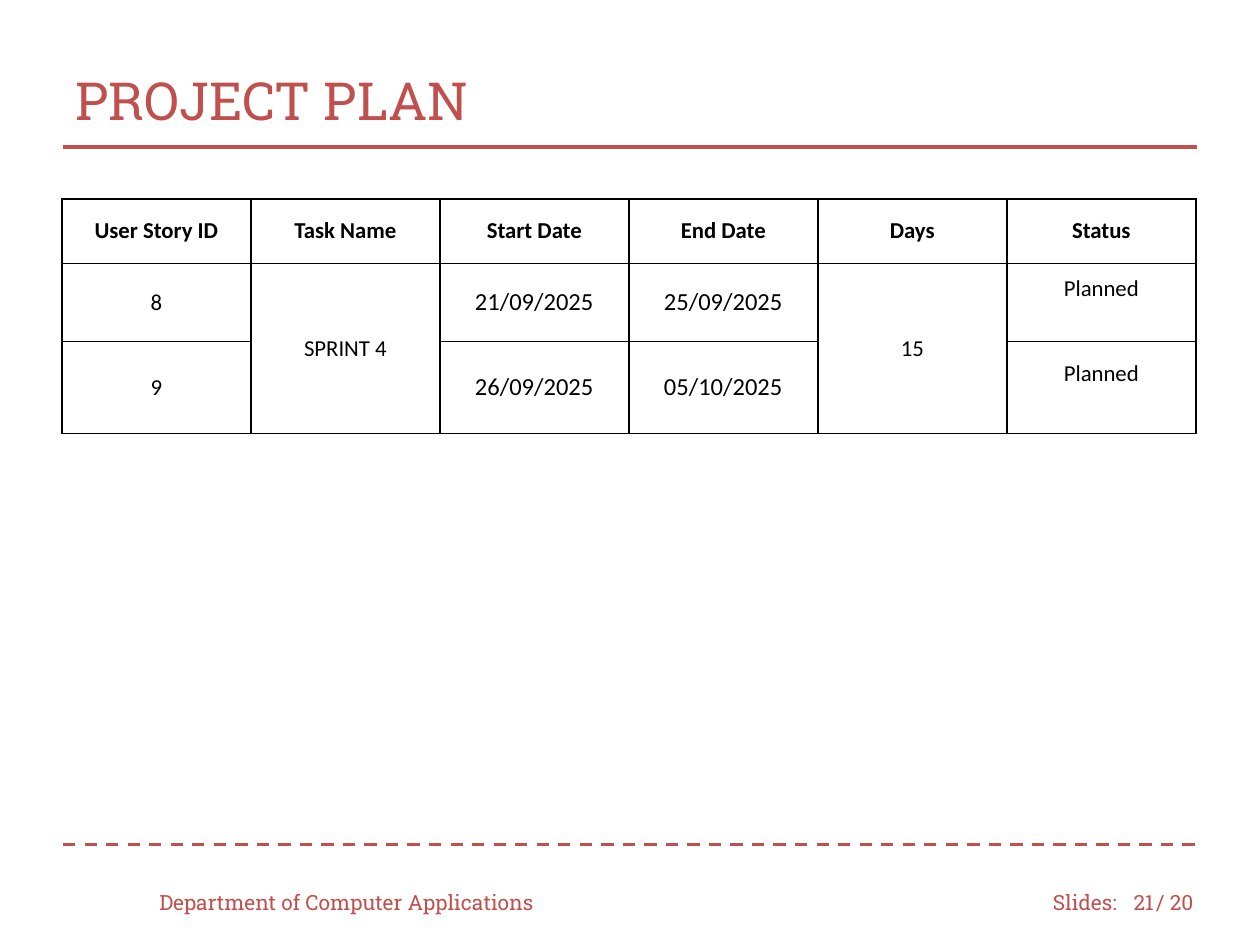
import pptx
import pptx.util
import pptx.dml.color
import pptx.enum.dml
import pptx.enum.shapes
import pptx.enum.text
import pptx.oxml
import pptx.oxml.ns
import lxml.etree

COLORS = {"accent": "C0504D", "ink": "000000", "paper": "FFFFFF"}
FONTS = {"brand": "Roboto Slab", "table": "Calibri"}
ALIGN = pptx.enum.text.PP_ALIGN
MIDDLE = pptx.enum.text.MSO_ANCHOR.MIDDLE
WIDTH, HEIGHT = 10, 7.5

HEADINGS = ["User Story ID", "Task Name", "Start Date", "End Date", "Days", "Status"]
TASKS = [
    ["8", "SPRINT 4", "21/09/2025", "25/09/2025", "15", "Planned"],
    ["9", "", "26/09/2025", "05/10/2025", "", "Planned"],
]
ROW_SHARES = [0.51 / 1.86, 0.62 / 1.86, 0.73 / 1.86]
MERGED_COLUMNS = [HEADINGS.index("Task Name"), HEADINGS.index("Days")]
DATE_COLUMNS = [HEADINGS.index("Start Date"), HEADINGS.index("End Date")]
STATUS_COLUMN = HEADINGS.index("Status")


def inches(*lengths):
    return [pptx.util.Inches(length) for length in lengths]


def rgb(name):
    return pptx.dml.color.RGBColor.from_string(COLORS[name])


def write(frame, text, size, font, color, align=ALIGN.LEFT, bold=False):
    frame.text = text
    para = frame.paragraphs[0]
    para.alignment = align
    for span in para.runs:
        span.font.size = pptx.util.Pt(size)
        span.font.name = FONTS[font]
        span.font.bold = bold
        span.font.color.rgb = rgb(color)


def add_rule(page, left, top, width, dashed=False):
    rule = page.shapes.add_connector(
        pptx.enum.shapes.MSO_CONNECTOR.STRAIGHT, *inches(left, top, left + width, top)
    )
    rule.line.color.rgb = rgb("accent")
    rule.line.width = pptx.util.Pt(1.75)
    if dashed:
        rule.line.dash_style = pptx.enum.dml.MSO_LINE.DASH
    lxml.etree.SubElement(rule.element.spPr, pptx.oxml.ns.qn("a:effectLst"))


def add_label(page, box, text, align=ALIGN.LEFT):
    label = page.shapes.add_textbox(*inches(*box))
    label.text_frame.word_wrap = True
    label.text_frame.vertical_anchor = MIDDLE
    write(label.text_frame, text, 12, "brand", "accent", align)


def add_heading(page, box, text):
    left, top, width, height = box
    title = page.shapes.title
    title.left, title.top, title.width, title.height = inches(*box)
    title.text_frame.vertical_anchor = MIDDLE
    write(title.text_frame, text, 30, "brand", "accent")
    add_rule(page, left, top + height * 0.91, width)


def add_borders(cell, sides):
    properties = cell._tc.get_or_add_tcPr()
    for side in sides:
        properties.append(pptx.oxml.parse_xml(
            f'<a:ln{side} {pptx.oxml.ns.nsdecls("a")} w="12700"><a:solidFill>'
            f'<a:srgbClr val="{COLORS["ink"]}"/></a:solidFill></a:ln{side}>'
        ))


def add_plan(page, box):
    left, top, width, height = box
    records = [HEADINGS] + TASKS
    table = page.shapes.add_table(len(records), len(HEADINGS), *inches(*box)).table
    table.horz_banding = False
    for column in table.columns:
        column.width = pptx.util.Inches(width / len(HEADINGS))
    for row, share in zip(table.rows, ROW_SHARES):
        row.height = pptx.util.Inches(height * share)
    for column in MERGED_COLUMNS:
        table.cell(1, column).merge(table.cell(len(TASKS), column))
    for row, record in enumerate(records):
        for column, text in enumerate(record):
            cell = table.cell(row, column)
            add_borders(cell, "LRB" if cell.is_spanned else "LRTB")
            cell.fill.background()
            if cell.is_spanned:
                continue
            raised = row > 0 and column == STATUS_COLUMN
            cell.margin_left, cell.margin_right = inches(0.07, 0.07)
            cell.margin_top, cell.margin_bottom = inches(0.04, 0.26 if raised else 0.04)
            cell.vertical_anchor = MIDDLE
            size = 14 if row > 0 and column in DATE_COLUMNS else 13
            write(cell.text_frame, text, size, "table", "ink", ALIGN.CENTER, row == 0)


def add_footer(page, box):
    left, top, width, height = box
    add_rule(page, left, top, width, dashed=True)
    label_top, label_height = top + height * 0.4, height * 0.6
    for start, share, text, align in [
        (0.074, 0.37, "Department of Computer Applications", ALIGN.LEFT),
        (0.862, 0.083, "Slides:", ALIGN.LEFT),
        (0.926, 0.047, "21", ALIGN.RIGHT),
        (0.953, 0.064, "/ 20", ALIGN.LEFT),
    ]:
        label_box = (left + width * start, label_top, width * share, label_height)
        add_label(page, label_box, text, align)


def main():
    deck = pptx.Presentation()
    deck.slide_width, deck.slide_height = inches(WIDTH, HEIGHT)
    page = deck.slides.add_slide(deck.slide_layouts.get_by_name("Title Only"))
    page.background.fill.solid()
    page.background.fill.fore_color.rgb = rgb("paper")
    margin, content = WIDTH * 0.05, WIDTH * 0.9
    add_heading(page, (margin, 0.33, content, 0.92), "PROJECT PLAN")
    add_plan(page, (margin - 0.01, 1.58, content, 1.86))
    add_footer(page, (margin, 6.7, content, 0.66))
    deck.save("out.pptx")


if __name__ == "__main__":
    main()
